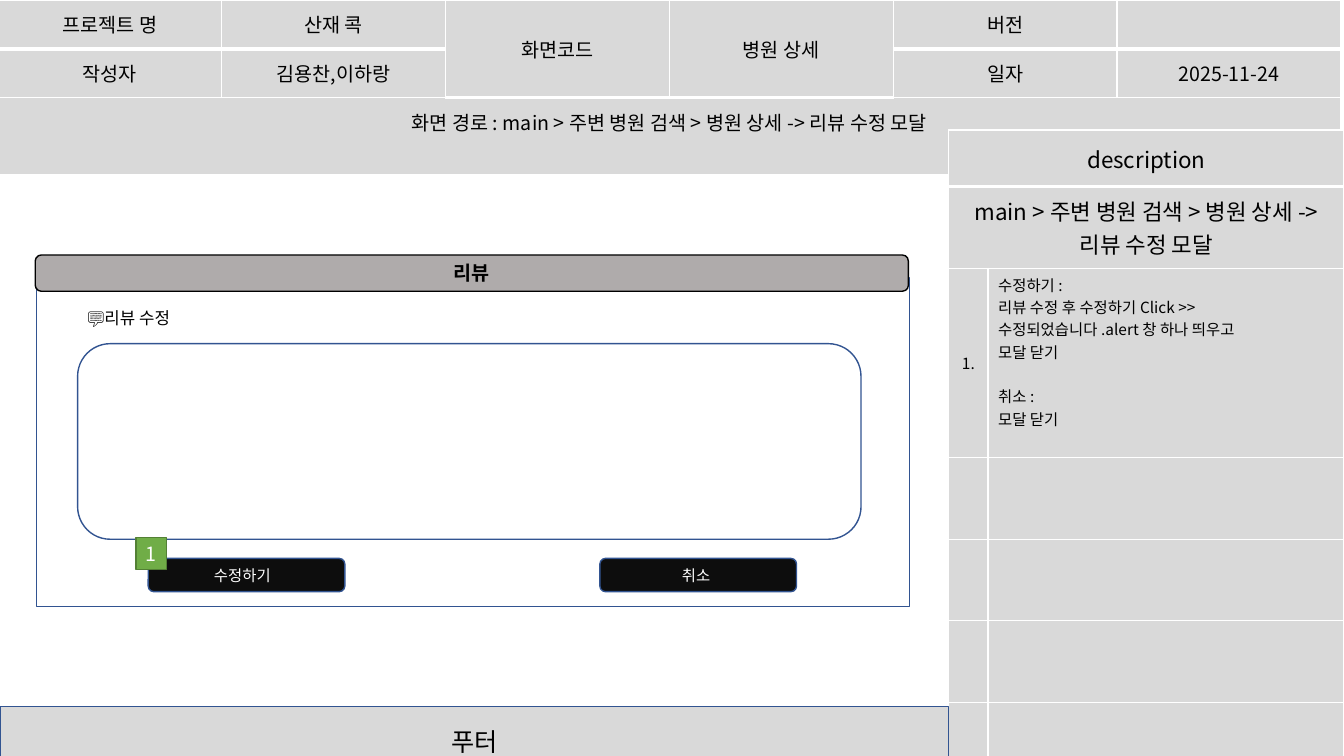
from lxml import etree
from pptx import Presentation
from pptx import util as u
from pptx.dml.color import RGBColor
from pptx.enum import shapes, text
from pptx.oxml.ns import qn

FONT = "Noto Sans CJK KR"
BLACK, WHITE, GREY, BLUE, BUTTON = "000000", "FFFFFF", "D9D9D9", "325491", "0D0D0D"
RECT = shapes.MSO_SHAPE.RECTANGLE
ROUND = shapes.MSO_SHAPE.ROUNDED_RECTANGLE
LEFT, CENTER = text.PP_ALIGN.LEFT, text.PP_ALIGN.CENTER
TOP, MIDDLE = text.MSO_ANCHOR.TOP, text.MSO_ANCHOR.MIDDLE
ROUTE = "main > 주변 병원 검색 > 병원 상세 -> 리뷰 수정 모달"


def color(value):
    return RGBColor.from_string(value)


class Wireframe:
    def __init__(self, slide):
        self.slide = slide

    def add_lines(self, frame, lines, size, ink=BLACK, align=CENTER, bold=False):
        """Put each line in its own paragraph of the text frame."""
        for index, line in enumerate(lines):
            paragraph = frame.paragraphs[0] if index == 0 else frame.add_paragraph()
            paragraph.alignment = align
            run = paragraph.add_run()
            run.text = line
            run.font.name = FONT
            run.font.size = u.Pt(size)
            run.font.bold = bold
            run.font.color.rgb = color(ink)
            latin = run.font._element.find(qn("a:latin"))
            east_asian = etree.Element(qn("a:ea"), typeface=FONT)
            latin.addnext(east_asian)

    def box(self, kind, place, fill, line, label="", size=11, ink=BLACK,
            align=CENTER, anchor=MIDDLE, bold=False, left=0.1, top=0.05, right=0.1):
        shape = self.slide.shapes.add_shape(kind, *map(u.Inches, place))
        shape.shadow.inherit = False
        shape.fill.solid()
        shape.fill.fore_color.rgb = color(fill)
        shape.line.color.rgb = color(line)
        shape.line.width = u.Pt(1)
        if label:
            frame = shape.text_frame
            frame.word_wrap = True
            frame.vertical_anchor = anchor
            frame.margin_left, frame.margin_top = u.Inches(left), u.Inches(top)
            frame.margin_right = u.Inches(right)
            self.add_lines(frame, [label], size, ink, align, bold)

    def table(self, left, top, widths, heights):
        """Add a grey grid with white borders, thick under the first row."""
        frame = self.slide.shapes.add_table(
            len(heights), len(widths), u.Inches(left), u.Inches(top),
            u.Inches(sum(widths)), u.Inches(sum(heights)))
        table = frame.table
        table.first_row = table.horz_banding = False
        for column, width in zip(table.columns, widths):
            column.width = u.Inches(width)
        for index, (row, height) in enumerate(zip(table.rows, heights)):
            row.height = u.Inches(height)
            for cell in row.cells:
                self.border(cell, bottom=3 if index == 0 else 1)
                cell.fill.solid()
                cell.fill.fore_color.rgb = color(GREY)
        return table

    def border(self, cell, bottom):
        properties = cell._tc.get_or_add_tcPr()
        for side, width in (("L", 1), ("R", 1), ("T", 1), ("B", bottom)):
            line = etree.SubElement(properties, qn(f"a:ln{side}"), w=str(u.Pt(width)))
            fill = etree.SubElement(line, qn("a:solidFill"))
            etree.SubElement(fill, qn("a:srgbClr"), val=WHITE)

    def cell(self, cell, lines, size, align=CENTER, anchor=MIDDLE, margin=0.05):
        cell.vertical_anchor = anchor
        cell.margin_top = cell.margin_bottom = u.Inches(margin)
        self.add_lines(cell.text_frame, lines, size, align=align)

    def header(self):
        table = self.table(-0.02, 0, [2.22] * 6, [0.48, 0.48, 0.76])
        for column in (2, 3):
            table.cell(0, column).merge(table.cell(1, column))
        table.cell(2, 0).merge(table.cell(2, 5))
        rows = [
            ["프로젝트 명", "산재 콕", "화면코드", "병원 상세", "버전", ""],
            ["작성자", "김용찬,이하랑", "", "", "일자", "2025-11-24"],
            [f"화면 경로 : {ROUTE}"],
        ]
        for row, labels in enumerate(rows):
            for column, label in enumerate(labels):
                if label:
                    cell = table.cell(row, column)
                    anchor = MIDDLE if cell.is_merge_origin and row == 0 else TOP
                    self.cell(cell, [label], 14, anchor=anchor, margin=0.1)

    def description(self):
        table = self.table(9.41, 1.29, [0.39, 3.53], [0.56, 0.81, 1.88] + [0.81] * 5)
        for row, label in enumerate(["description", ROUTE]):
            table.cell(row, 0).merge(table.cell(row, 1))
            self.cell(table.cell(row, 0), [label], 16)
        self.cell(table.cell(2, 0), ["1."], 11)
        notes = table.cell(2, 1)
        self.cell(notes, [
            "수정하기 :", "리뷰 수정 후 수정하기 Click >>",
            "수정되었습니다 .alert 창 하나 띄우고", "모달 닫기",
            "취소 :", "모달 닫기",
        ], 11, align=LEFT, anchor=TOP)
        notes.text_frame.paragraphs[4].space_before = u.Pt(16)


def main():
    presentation = Presentation()
    presentation.slide_width = u.Inches(13.33)
    presentation.slide_height = u.Inches(7.5)
    page = Wireframe(presentation.slides.add_slide(presentation.slide_layouts[6]))

    page.box(RECT, (0.36, 2.76, 8.66, 3.26), WHITE, BLUE, "💬리뷰 수정", 12,
             align=LEFT, anchor=TOP, left=0.51, top=0.29)
    page.header()
    page.description()
    page.box(RECT, (0, 7.01, 9.41, 0.7), GREY, BLUE, "푸터", 18)
    page.box(ROUND, (0.35, 2.53, 8.66, 0.36), "AFABAB", BLACK, "리뷰", 14, bold=True)
    for left, label, right in ((1.47, "수정하기", 0.18), (5.95, "취소", 0.14)):
        page.box(ROUND, (left, 5.54, 1.95, 0.33), BUTTON, BLUE, label, ink=WHITE,
                 right=right)
    page.box(ROUND, (0.77, 3.41, 7.77, 1.94), WHITE, BLUE)
    page.box(RECT, (1.35, 5.33, 0.3, 0.32), "70AD47", "538035", "1", 14, WHITE)

    presentation.save("out.pptx")


if __name__ == "__main__":
    main()
